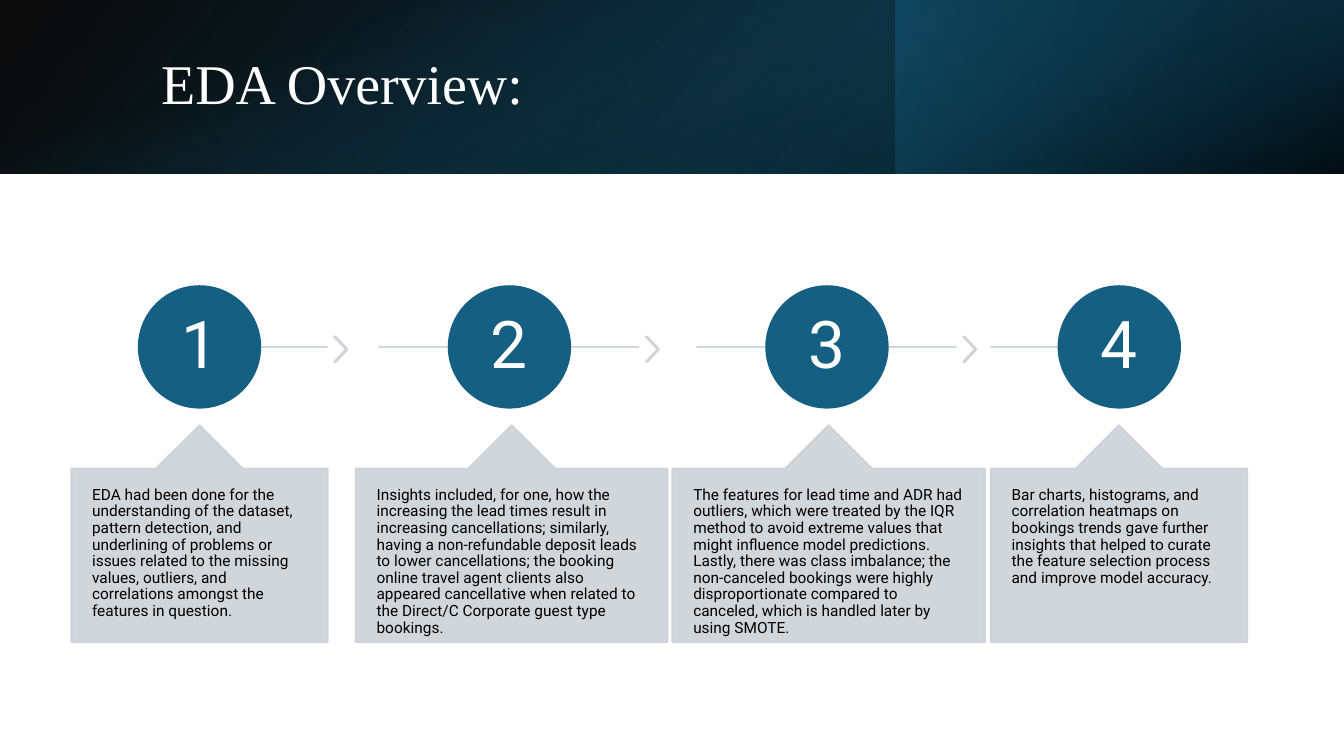
from lxml import etree
from pptx import Presentation
from pptx import util as u
from pptx.dml.color import RGBColor
from pptx.enum import shapes, text
from pptx.oxml import parse_xml
from pptx.oxml.ns import nsdecls, qn

COLORS = {"blue": "156082", "grey": "CCD2D8", "white": "FFFFFF", "black": "000000",
          "deep": "104862", "night": "0B3041"}
KIND = shapes.MSO_SHAPE
ANCHOR = text.MSO_ANCHOR
ALIGN = text.PP_ALIGN

STEPS = [
    (51, 183, 152.6, 234, 99.2,
     "EDA had been done for the understanding of the dataset, pattern detection, and "
     "underlining of problems or issues related to the missing values, outliers, and "
     "correlations amongst the features in question."),
    (254.2, 222.5, 270.7, 456.5, 320.6,
     "Insights included, for one, how the increasing the lead times result in increasing "
     "cancellations; similarly, having a non-refundable deposit leads to lower cancellations; "
     "the booking online travel agent clients also appeared cancellative when related to the "
     "Direct/C Corporate guest type bookings."),
    (480.4, 223, 497.5, 683.3, 547.4,
     "The features for lead time and ADR had outliers, which were treated by the IQR method to "
     "avoid extreme values that might influence model predictions. Lastly, there was class "
     "imbalance; the non-canceled bookings were highly disproportionate compared to canceled, "
     "which is handled later by using SMOTE."),
    (707.8, 183, 707.8, 799.2, 756.2,
     "Bar charts, histograms, and correlation heatmaps on bookings trends gave further insights "
     "that helped to curate the feature selection process and improve model accuracy."),
]


class Deck:
    """Holds the slide and draws styled elements on it, in points."""

    def __init__(self, width, height):
        self.prs = Presentation()
        self.prs.slide_width, self.prs.slide_height = u.Pt(width), u.Pt(height)
        self.slide = self.prs.slides.add_slide(self.prs.slide_layouts[6])

    def fade(self, element, percent):
        for color in element.iter(qn("a:srgbClr")):
            etree.SubElement(color, qn("a:alpha")).set("val", str(percent * 1000))

    def shape(self, kind, box, color, opacity=100, adjustments=()):
        shape = self.slide.shapes.add_shape(kind, *map(u.Pt, box))
        shape.shadow.inherit = False
        shape.fill.solid()
        for part in (shape.fill.fore_color, shape.line.color):
            part.rgb = RGBColor.from_string(COLORS[color])
        shape.line.width = u.Pt(1.5)
        for index, value in enumerate(adjustments):
            shape.adjustments[index] = value
        if opacity < 100:
            self.fade(shape._element.spPr, opacity)
        return shape

    def band(self, box, stops, angle, rotation=0, flip=False):
        band = self.slide.shapes.add_shape(KIND.RECTANGLE, *map(u.Pt, box))
        band.shadow.inherit = False
        band.line.fill.background()
        band.rotation = rotation
        properties = band._element.spPr
        if flip:
            properties.find(qn("a:xfrm")).set("flipH", "1")
        marks = "".join(
            f'<a:gs pos="{position * 1000}"><a:srgbClr val="{COLORS[color]}">'
            f'<a:alpha val="{opacity * 1000}"/></a:srgbClr></a:gs>'
            for position, color, opacity in stops)
        properties.find(qn("a:prstGeom")).addnext(parse_xml(
            f'<a:gradFill {nsdecls("a")} rotWithShape="1"><a:gsLst>{marks}</a:gsLst>'
            f'<a:lin ang="{angle * 60000}" scaled="0"/></a:gradFill>'))

    def line(self, start, end, y):
        line = self.slide.shapes.add_connector(
            shapes.MSO_CONNECTOR.STRAIGHT, *map(u.Pt, (start, y, end, y)))
        line.line.width = u.Pt(1.5)
        line.line.color.rgb = RGBColor.from_string(COLORS["grey"])
        properties = line._element.spPr
        self.fade(properties, 90)
        etree.SubElement(properties, qn("a:effectLst"))

    def label(self, shape, words, size, font, color, margins, anchor, align=ALIGN.LEFT):
        frame = shape.text_frame
        frame.word_wrap = True
        frame.vertical_anchor = anchor
        frame.margin_left = frame.margin_right = u.Pt(margins[0])
        frame.margin_top = frame.margin_bottom = u.Pt(margins[1])
        frame.text = words
        paragraph = frame.paragraphs[0]
        paragraph.alignment = align
        paragraph.line_spacing = 0.9
        paragraph.font.size = u.Pt(size)
        paragraph.font.name = font
        paragraph.font.color.rgb = RGBColor.from_string(COLORS[color])

    def title(self, box, words):
        heading = self.slide.shapes.add_textbox(*map(u.Pt, box))
        self.label(heading, words, 40, "Times New Roman", "white", (7.2, 3.6), ANCHOR.MIDDLE)

    def step(self, number, left, width, line_start, line_end, circle_left, words, last):
        self.line(line_start, line_end, 247.8)
        if not last:
            self.shape(KIND.CHEVRON, (line_end + 4.8, 240.5, 9.4, 18), "grey", 90, [0.9])
        circle = self.shape(KIND.OVAL, (circle_left, 204.5, 86.6, 86.6), "blue")
        self.label(circle, str(number), 47, "Roboto", "white", (3.6, 3.6),
                   ANCHOR.MIDDLE, ALIGN.CENTER)
        callout = self.shape(KIND.UP_ARROW_CALLOUT, (left, 303.8, width, 154.8), "grey", 90,
                             [0.5, 0.2, 0.2, 1])
        self.label(callout, words, 11, "Roboto", "black", (14.8, 13), ANCHOR.TOP)


def main():
    deck = Deck(960, 540)
    deck.band((0, 0, 960, 124), [(0, "black", 96), (100, "deep", 100)], 140, flip=True)
    deck.band((640, 0, 320, 124), [(19, "night", 68), (100, "blue", 79)], 320, rotation=180)
    deck.band((418, -418, 124, 960), [(23, "blue", 0), (99, "black", 74)], 340, rotation=90)
    deck.title((108, 27.4, 790, 69), "EDA Overview:")
    for number, step in enumerate(STEPS, 1):
        deck.step(number, *step, last=number == len(STEPS))
    deck.prs.save("out.pptx")


if __name__ == "__main__":
    main()
